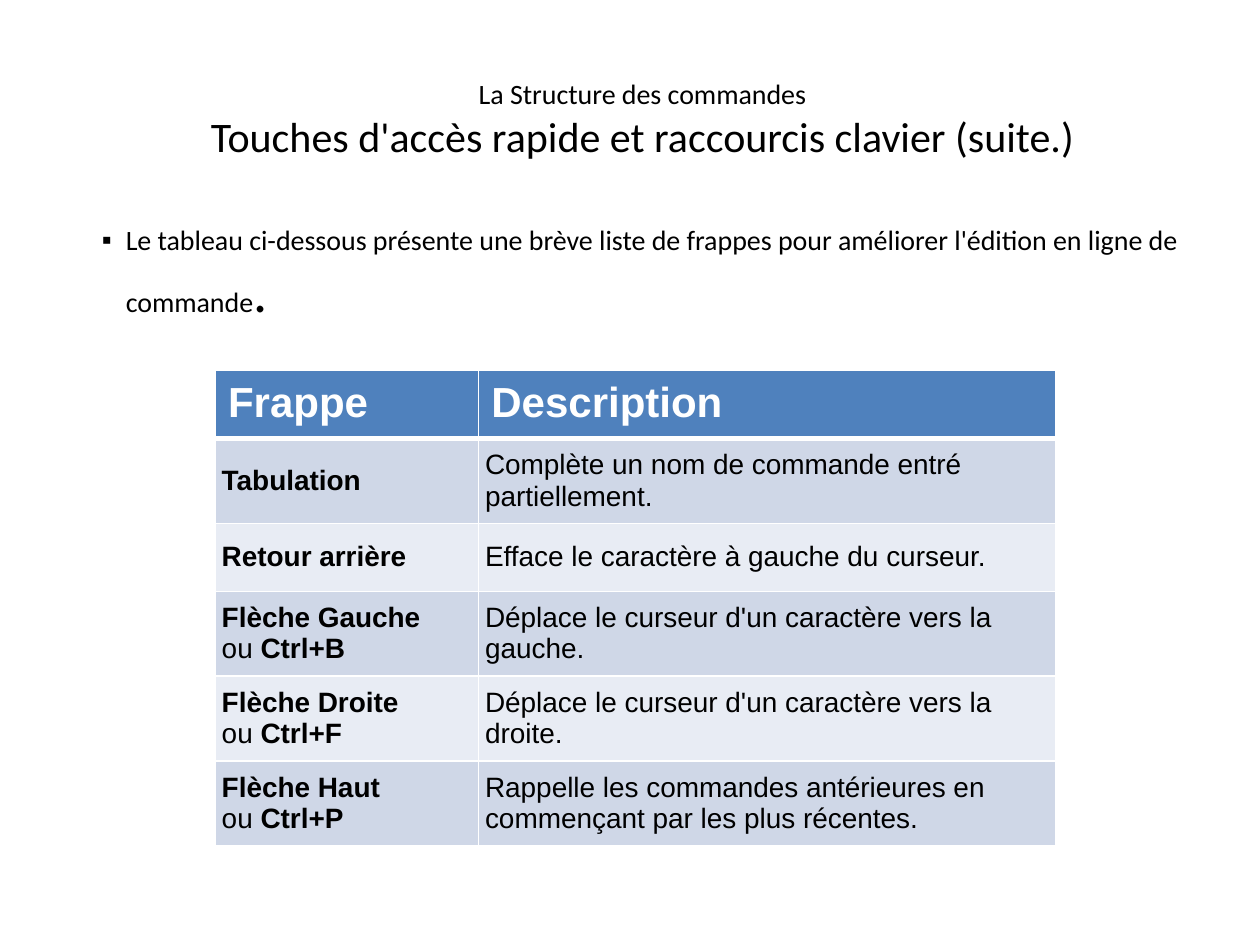
import pptx
import pptx.dml.color
import pptx.enum.text
import pptx.oxml
import pptx.oxml.ns
import pptx.util
from pptx.util import Inches

RGBColor = pptx.dml.color.RGBColor
ALIGN = pptx.enum.text.PP_ALIGN
ANCHOR = pptx.enum.text.MSO_ANCHOR

BLACK = RGBColor(0x00, 0x00, 0x00)
WHITE = RGBColor(0xFF, 0xFF, 0xFF)
HEADER_BLUE = RGBColor(0x4F, 0x81, 0xBD)
BANDS = RGBColor(0xCF, 0xD7, 0xE7), RGBColor(0xE8, 0xEC, 0xF4)

# Each run is (text, format overrides); "\n" is a line break.
TITLE = [("La Structure des commandes", {}), ("\n", {}),
         ("Touches d'accès rapide et raccourcis clavier (suite.)", {"size": 24})]
INTRO = [("Le tableau ci-dessous présente une brève liste de frappes pour "
          "améliorer l'édition en ligne de commande", {}),
         (".", {"size": 32})]
HEADERS = ["Frappe", "Description"]
# Key, alternative shortcut, description
KEYS = [
    ("Tabulation", None, "Complète un nom de commande entré partiellement."),
    ("Retour arrière", None, "Efface le caractère à gauche du curseur."),
    ("Flèche Gauche", "Ctrl+B", "Déplace le curseur d'un caractère vers la gauche."),
    ("Flèche Droite", "Ctrl+F", "Déplace le curseur d'un caractère vers la droite."),
    ("Flèche Haut", "Ctrl+P",
     "Rappelle les commandes antérieures en commençant par les plus récentes."),
]
COLUMN_WIDTHS = [2.09, 4.58]
ROW_HEIGHTS = [0.54] * 5 + [0.67]
NBSP = chr(160)


def write(frame, runs, font="Calibri", size=16, color=BLACK, bold=False,
          align=ALIGN.LEFT):
    """Fill the first paragraph of frame with runs and return it."""
    frame.word_wrap = True
    paragraph = frame.paragraphs[0]
    paragraph.alignment = align
    for text, changes in runs:
        if text == "\n":
            paragraph.add_line_break()
            continue
        run = paragraph.add_run()
        run.text = text
        run.font.name = font
        run.font.size = pptx.util.Pt(changes.get("size", size))
        run.font.bold = changes.get("bold", bold)
        run.font.color.rgb = color
    return paragraph


def add_text(slide, left, top, width, height, runs, anchor=ANCHOR.TOP,
             right_inset=0.1, **text_format):
    box = slide.shapes.add_textbox(Inches(left), Inches(top),
                                   Inches(width), Inches(height))
    box.text_frame.vertical_anchor = anchor
    box.text_frame.margin_right = Inches(right_inset)
    return write(box.text_frame, runs, **text_format)


def add_bullet(paragraph, symbol, indent):
    properties = paragraph._p.get_or_add_pPr()
    properties.set("marL", str(Inches(indent)))
    properties.set("indent", str(-Inches(indent)))
    namespace = pptx.oxml.ns.nsdecls("a")
    for tag in ('buFont {} typeface="Arial"', f'buChar {{}} char="{symbol}"'):
        properties.append(pptx.oxml.parse_xml(f"<a:{tag.format(namespace)}/>"))


def set_borders(cell, top=1, bottom=1):
    """Draw white borders, with widths in points."""
    properties = cell._tc.get_or_add_tcPr()
    for side, points in (("L", 1), ("R", 1), ("T", top), ("B", bottom)):
        properties.append(pptx.oxml.parse_xml(
            f'<a:ln{side} {pptx.oxml.ns.nsdecls("a")} w="{pptx.util.Pt(points)}">'
            f'<a:solidFill><a:srgbClr val="{WHITE}"/></a:solidFill></a:ln{side}>'))


def fill_cell(cell, runs, fill, side_inset, anchor, top=1, bottom=1, **text_format):
    set_borders(cell, top, bottom)
    cell.fill.solid()
    cell.fill.fore_color.rgb = fill
    cell.margin_left = cell.margin_right = Inches(side_inset)
    cell.margin_top = cell.margin_bottom = Inches(0.07)
    cell.vertical_anchor = anchor
    write(cell.text_frame, runs, font="Arial", **text_format)


def key_runs(key, shortcut):
    bold = {"bold": True}
    if shortcut is None:
        return [(key, bold)]
    return [(key + " ", bold), ("ou", {}), (NBSP + shortcut, bold)]


def add_key_table(slide):
    table = slide.shapes.add_table(
        len(ROW_HEIGHTS), len(COLUMN_WIDTHS), Inches(1.71), Inches(2.94),
        Inches(sum(COLUMN_WIDTHS)), Inches(sum(ROW_HEIGHTS))).table
    for column, width in zip(table.columns, COLUMN_WIDTHS):
        column.width = Inches(width)
    for row, height in zip(table.rows, ROW_HEIGHTS):
        row.height = Inches(height)

    for column, header in enumerate(HEADERS):
        fill_cell(table.cell(0, column), [(header, {})], HEADER_BLUE, 0.1,
                  ANCHOR.TOP, bottom=3, size=24, color=WHITE, bold=True)
    for row, (key, shortcut, description) in enumerate(KEYS, start=1):
        contents = key_runs(key, shortcut), [(description, {})]
        for column, runs in enumerate(contents):
            fill_cell(table.cell(row, column), runs, BANDS[(row - 1) % 2], 0.05,
                      ANCHOR.MIDDLE, top=3 if row == 1 else 1)


def main():
    deck = pptx.Presentation()
    deck.slide_width, deck.slide_height = Inches(10), Inches(7.5)
    slide = deck.slides.add_slide(deck.slide_layouts[6])
    add_text(slide, 0.1, 0.39, 10, 1.1, TITLE, anchor=ANCHOR.MIDDLE,
             align=ALIGN.CENTER)
    intro = add_text(slide, 0.71, 1.72, 8.87, 0.5, INTRO, right_inset=0.2)
    add_bullet(intro, "▪", 0.19)
    add_key_table(slide)
    deck.save("out.pptx")


if __name__ == "__main__":
    main()
